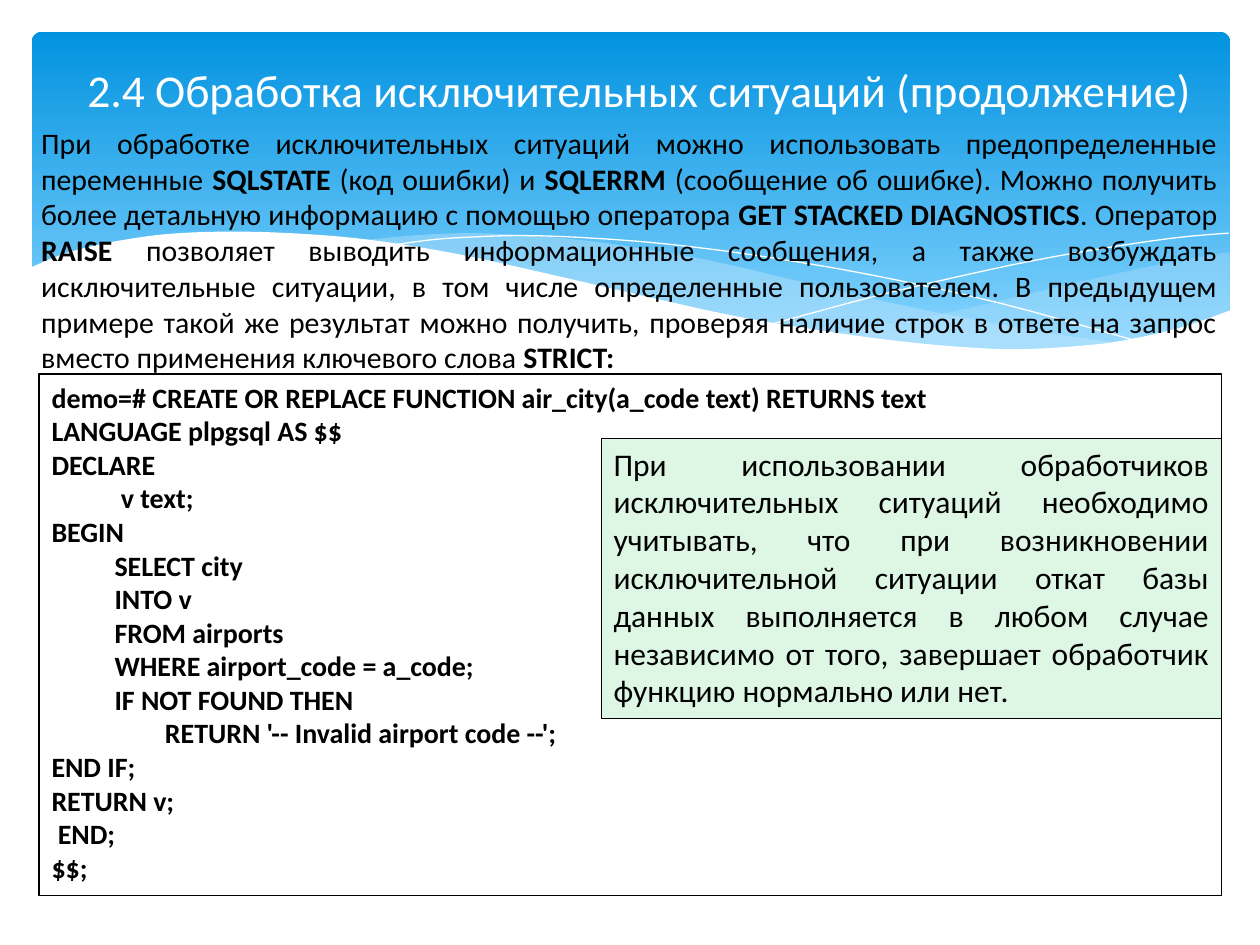
from dataclasses import dataclass

from lxml import etree
from pptx import Presentation
from pptx.dml.color import RGBColor
from pptx.enum.shapes import MSO_SHAPE
from pptx.enum.text import MSO_ANCHOR, MSO_AUTO_SIZE, PP_ALIGN
from pptx.oxml.ns import qn
from pptx.util import Cm, Pt

RECTANGLE, ROUNDED = MSO_SHAPE.RECTANGLE, MSO_SHAPE.ROUNDED_RECTANGLE
LEFT, CENTER, JUSTIFY = PP_ALIGN.LEFT, PP_ALIGN.CENTER, PP_ALIGN.JUSTIFY
TOP, MIDDLE = MSO_ANCHOR.TOP, MSO_ANCHOR.MIDDLE
FIT_SHAPE = MSO_AUTO_SIZE.SHAPE_TO_FIT_TEXT
FONT = "Calibri"
COLORS = {
    "black": "000000", "white": "FFFFFF", "sky": "0293E0",
    "pale_sky": "83D3FE", "wave": "C6E7FC", "mint": "DEF6E4",
}


@dataclass(frozen=True)
class Wave:
    curves: tuple
    corners: tuple = ()
    fill: str | None = None
    opacity: int = 100


@dataclass(frozen=True)
class Box:
    left: float
    top: float
    width: float
    height: float


WAVES = (
    Wave((((24.79, 5.08), (23.39, 5.33), (21.87, 5.66), (19.13, 6.3), (16.79, 6.73)),
          ((16.79, 6.73), (18.26, 6.91), (19.84, 7.04), (21.21, 7.04), (22.58, 6.91),
           (23.75, 6.65), (24.79, 6.27))), fill="wave", opacity=29),
    Wave((((22.68, 6.93), (21.26, 6.73), (19.69, 6.45), (17.93, 6.1), (15.98, 5.64),
           (14.45, 5.28), (13.06, 5.03), (11.81, 4.85), (10.67, 4.75), (9.65, 4.7),
           (8.74, 4.72), (7.95, 4.78), (7.26, 4.85)),
          ((7.26, 4.85), (8.69, 5.05), (10.26, 5.36), (11.4, 5.64), (13.46, 6.1),
           (15.27, 6.48), (16.89, 6.76), (18.34, 6.96), (19.63, 7.04), (20.78, 7.06),
           (21.77, 7.04), (22.68, 6.93))), fill="wave", opacity=40),
    Wave((((7.85, 4.95), (8.74, 4.83), (9.5, 4.78), (10.57, 4.75), (11.91, 4.8),
           (13.54, 4.93), (15.44, 5.18), (17.65, 5.56), (20.19, 6.12), (23.04, 6.91)),)),
    Wave((((15.57, 6.53), (17.65, 5.97), (19.71, 5.49), (21.23, 5.18), (22.73, 4.93),
           (23.83, 4.78), (24.77, 4.7)),)),
    Wave((((24.82, 6.25), (23.88, 6.58), (22.83, 6.83), (21.92, 6.96), (20.55, 7.04),
           (19.33, 6.99), (17.98, 6.86), (16.46, 6.65), (14.71, 6.35), (12.78, 5.92),
           (11.35, 5.59), (9.27, 5.13), (7.42, 4.83), (5.84, 4.7), (4.5, 4.67),
           (3.35, 4.72), (2.41, 4.85), (1.7, 5), (1.17, 5.16), (0.58, 5.41)),),
         corners=((0.58, 8.36), (24.82, 8.36)), fill="white"),
)

TITLE = "2.4 Обработка исключительных ситуаций (продолжение)"
INTRO = (
    "При обработке исключительных ситуаций можно использовать предопределенные переменные "
    "**SQLSTATE **(код ошибки) и **SQLERRM **(сообщение об ошибке). Можно получить более "
    "детальную информацию с помощью оператора **GET STACKED DIAGNOSTICS**. Оператор "
    "**RAISE** позволяет выводить информационные сообщения, а также возбуждать "
    "исключительные ситуации, в том числе определенные пользователем. В предыдущем примере "
    "такой же результат можно получить, проверяя наличие строк в ответе на запрос вместо "
    "применения ключевого слова **STRICT:**"
)
CODE = """demo=# CREATE OR REPLACE FUNCTION air_city(a_code text) RETURNS text
LANGUAGE plpgsql AS $$
DECLARE
           v text;
BEGIN
          SELECT city
          INTO v
          FROM airports
          WHERE airport_code = a_code;
          IF NOT FOUND THEN
                  RETURN '-- Invalid airport code --';
END IF;
RETURN v;
 END;
$$;"""
NOTE = (
    "При использовании обработчиков исключительных ситуаций необходимо учитывать, что при "
    "возникновении исключительной ситуации откат базы данных выполняется в любом случае "
    "независимо от того, завершает обработчик функцию нормально или нет."
)


def color(name: str) -> RGBColor:
    """Return the named colour."""
    return RGBColor.from_string(COLORS[name])


def smooth(points: tuple, steps: int = 5) -> list:
    """Return a Catmull-Rom curve through the points."""
    padded = (points[0], *points, points[-1])
    curve = [points[0]]
    for before, start, end, after in zip(padded, padded[1:], padded[2:], padded[3:]):
        for step in range(1, steps + 1):
            t = step / steps
            curve.append(tuple(
                (2 * b + (c - a) * t + (2 * a - 5 * b + 4 * c - d) * t ** 2
                 + (3 * b - a - 3 * c + d) * t ** 3) / 2
                for a, b, c, d in zip(before, start, end, after)))
    return curve


def add_wave(slide, wave: Wave) -> None:
    """Draw a filled wave or a thin white wave line."""
    outline = [point for curve in wave.curves for point in smooth(curve)]
    points = [(Cm(x), Cm(y)) for x, y in (*outline, *wave.corners)]
    builder = slide.shapes.build_freeform(*points[0], scale=1.0)
    builder.add_line_segments(points[1:], close=wave.fill is not None)
    shape = builder.convert_to_shape()
    shape.shadow.inherit = False
    if wave.fill is None:
        shape.fill.background()
        shape.line.color.rgb = color("white")
        shape.line.width = Pt(0)
        return
    shape.line.fill.background()
    shape.fill.solid()
    shape.fill.fore_color.rgb = color(wave.fill)
    if wave.opacity < 100:
        rgb = shape.fill._xPr.find(".//" + qn("a:srgbClr"))
        etree.SubElement(rgb, qn("a:alpha"), val=str(wave.opacity * 1000))


def add_shape(slide, kind: MSO_SHAPE, box: Box):
    """Add a preset shape without shadow."""
    shape = slide.shapes.add_shape(
        kind, Cm(box.left), Cm(box.top), Cm(box.width), Cm(box.height))
    shape.shadow.inherit = False
    return shape


def add_banner(slide, box: Box) -> None:
    """Draw the rounded gradient banner."""
    shape = add_shape(slide, ROUNDED, box)
    shape.adjustments[0] = 0.03
    shape.line.fill.background()
    shape.fill.gradient()
    shape.fill.gradient_angle = 270
    for stop, name, position in zip(
            shape.fill.gradient_stops, ("sky", "pale_sky"), (0, 0.9)):
        stop.color.rgb = color(name)
        stop.position = position


def add_panel(slide, box: Box, fill: str):
    """Add a filled rectangle with a thin black border."""
    shape = add_shape(slide, RECTANGLE, box)
    shape.fill.solid()
    shape.fill.fore_color.rgb = color(fill)
    shape.line.color.rgb = color("black")
    shape.line.width = Pt(0.75)
    return shape


def add_text_box(slide, box: Box):
    """Add an empty text box."""
    return slide.shapes.add_textbox(
        Cm(box.left), Cm(box.top), Cm(box.width), Cm(box.height))


def write(shape, text: str, *, size: float, name: str = "black", align=LEFT,
          anchor=TOP, bold: bool = False, inset: bool = True) -> None:
    """Write lines of text, with bold toggled at each double asterisk."""
    frame = shape.text_frame
    frame.word_wrap = True
    frame.auto_size = FIT_SHAPE
    frame.vertical_anchor = anchor
    if not inset:
        frame.margin_left = frame.margin_right = 0
        frame.margin_top = frame.margin_bottom = 0
    for number, line in enumerate(text.split("\n")):
        paragraph = frame.add_paragraph() if number else frame.paragraphs[0]
        paragraph.alignment = align
        for index, part in enumerate(line.split("**")):
            if not part:
                continue
            run = paragraph.add_run()
            run.text = part
            run.font.name = FONT
            run.font.size = Pt(size)
            run.font.bold = bold or index % 2 == 1
            run.font.color.rgb = color(name)


def main() -> None:
    """Build the slide and save it."""
    presentation = Presentation()
    presentation.slide_width, presentation.slide_height = Cm(25.4), Cm(19.05)
    slide = presentation.slides.add_slide(presentation.slide_layouts[6])
    add_banner(slide, Box(0.64, 0.64, 24.16, 6.86))
    for wave in WAVES:
        add_wave(slide, wave)
    write(add_text_box(slide, Box(0.58, 2.39, 24.21, 6.07)), INTRO, size=17, align=JUSTIFY)
    write(add_panel(slide, Box(0.79, 7.54, 23.83, 10.52), "white"), CODE, size=16, bold=True)
    write(add_panel(slide, Box(12.12, 8.84, 12.5, 5.64), "mint"), NOTE, size=18, align=JUSTIFY)
    write(add_text_box(slide, Box(0.29, 1.23, 25.22, 1.14)), TITLE, size=26,
          name="white", align=CENTER, anchor=MIDDLE, inset=False)
    presentation.save("out.pptx")


if __name__ == "__main__":
    main()
